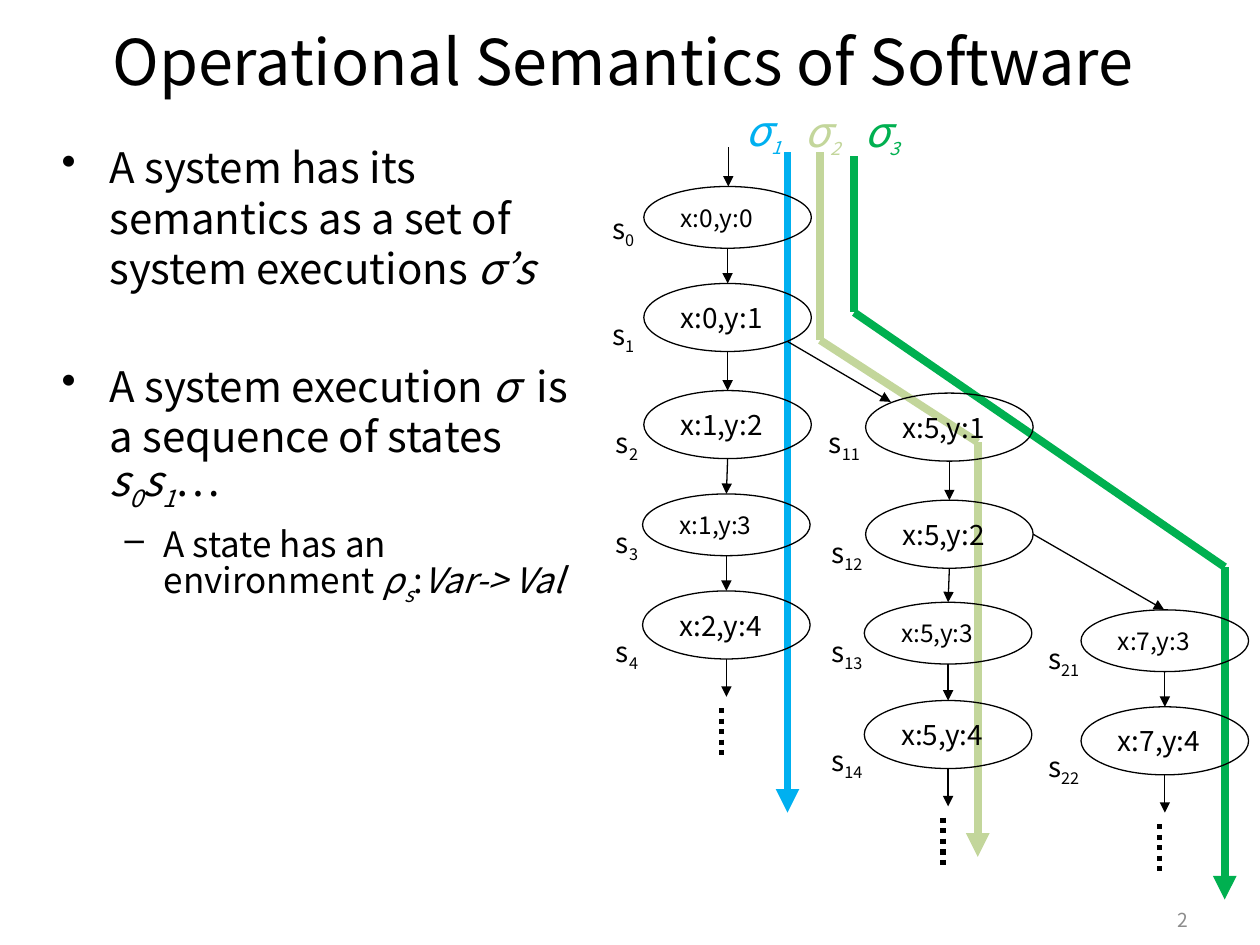
from dataclasses import dataclass
from lxml import etree
from pptx import Presentation
from pptx.dml.color import RGBColor
from pptx.enum.dml import MSO_LINE
from pptx.enum.shapes import MSO_CONNECTOR, MSO_SHAPE
from pptx.enum.text import MSO_ANCHOR, MSO_AUTO_SIZE, PP_ALIGN
from pptx.oxml.ns import qn
from pptx.util import Inches, Pt

STRAIGHT = MSO_CONNECTOR.STRAIGHT
OVAL = MSO_SHAPE.OVAL
MIDDLE = MSO_ANCHOR.MIDDLE
GROW = MSO_AUTO_SIZE.SHAPE_TO_FIT_TEXT
CENTER, RIGHT = PP_ALIGN.CENTER, PP_ALIGN.RIGHT
DOTS = MSO_LINE.ROUND_DOT


@dataclass(frozen=True)
class Theme:
    font: str = "Noto Sans CJK KR"
    ink: str = "000000"
    muted: str = "8C8C8C"
    blue: str = "00B0F0"
    olive: str = "C3D69B"
    green: str = "00B050"
    title: int = 36
    body: int = 24
    detail: int = 20
    index: int = 18
    state: int = 16
    small: int = 14
    number: int = 11
    thin: float = 0.75
    dots: float = 3
    thick: float = 4.5


theme = Theme()
deck = Presentation()
deck.slide_width, deck.slide_height = Inches(10), Inches(7.5)
page = deck.slides.add_slide(deck.slide_layouts[6])


def add_span(para, text, size, color=theme.ink, italic=False, lowered=False):
    span = para.add_run()
    span.text = text
    span.font.name = theme.font
    span.font.size = Pt(size)
    span.font.color.rgb = RGBColor.from_string(color)
    span.font.italic = italic
    if lowered:
        span.font._element.set("baseline", "-25000")


def add_line(start, end, color=theme.ink, width=theme.thin, arrow=True):
    ends = [Inches(value) for value in (*start, *end)]
    line = page.shapes.add_connector(STRAIGHT, *ends)
    line.line.color.rgb = RGBColor.from_string(color)
    line.line.width = Pt(width)
    if arrow:
        outline = line.line._get_or_add_ln()
        etree.SubElement(outline, qn("a:tailEnd"), type="triangle")
    etree.SubElement(line._element.spPr, qn("a:effectLst"))
    return line


executions = [
    ("3", theme.green, (6.76, 0.79), [(6.78, 1.24), (6.78, 2.48), (9.72, 4.5), (9.72, 7.14)]),
    ("2", theme.olive, (6.29, 0.79), [(6.51, 1.21), (6.51, 2.7), (7.76, 3.51), (7.76, 6.8)]),
    ("1", theme.blue, (5.82, 0.78), [(6.25, 1.21), (6.25, 6.45)]),
]
for index, color, (left, top), points in executions:
    for start, end in zip(points, points[1:]):
        add_line(start, end, color, theme.thick, end == points[-1])
    box = page.shapes.add_textbox(Inches(left), Inches(top), Inches(0.83), Inches(0.5))
    box.text_frame.word_wrap = True
    para = box.text_frame.paragraphs[0]
    add_span(para, "σ", theme.body, color, italic=True)
    add_span(para, index, theme.index, color, italic=True, lowered=True)

captions = [
    ("Operational Semantics of Software ", (0, 0.18, 10, 0.6), theme.title, theme.ink, CENTER),
    ("2", (8.7, 7.1, 0.83, 0.4), theme.number, theme.muted, RIGHT),
]
for text, place, size, color, align in captions:
    box = page.shapes.add_textbox(*[Inches(value) for value in place])
    box.text_frame.word_wrap = True
    box.text_frame.vertical_anchor = MIDDLE
    para = box.text_frame.paragraphs[0]
    para.alignment = align
    add_span(para, text, size, color)

points = [
    (0, "•", theme.body, 29, 4.8, 0.38, 0.38, [
        ("A system has its semantics as a set of system executions ", False, False),
        ("σ’s", True, False),
    ]),
    (0, "•", theme.body, 29, 38, 0.38, 0.38, [
        ("A system execution ", False, False),
        ("σ  ", True, False),
        ("is a sequence of states ", False, False),
        ("s", True, False), ("0", True, True),
        ("s", True, False), ("1", True, True),
        ("…", False, False),
    ]),
    (1, "–", theme.detail, 24, 6, 0.81, 0.31, [
        ("A state has an environment ", False, False),
        ("ρ", True, False), ("s", True, True),
        (":", False, False), ("Var-> Val", True, False),
    ]),
]
box = page.shapes.add_textbox(Inches(0.39), Inches(1.07), Inches(4.42), Inches(5.67))
frame = box.text_frame
frame.word_wrap = True
for number, (level, bullet, size, pitch, before, margin, hang, spans) in enumerate(points):
    para = frame.add_paragraph() if number else frame.paragraphs[0]
    para.level = level
    para.line_spacing = Pt(pitch)
    para.space_before = Pt(before)
    settings = para._p.get_or_add_pPr()
    settings.set("marL", str(Inches(margin)))
    settings.set("indent", str(-Inches(hang)))
    etree.SubElement(settings, qn("a:buChar"), char=bullet)
    for text, italic, lowered in spans:
        add_span(para, text, size, italic=italic, lowered=lowered)

STATE_WIDTH = 1.33
HEIGHTS = {theme.small: 0.49, theme.state: 0.54}
branches = [
    [
        ("0", "x:0,y:0", theme.small, 5.11, 1.48, 4.76, 1.63),
        ("1", "x:0,y:1", theme.state, 5.11, 2.25, 4.76, 2.47),
        ("2", "x:1,y:2", theme.state, 5.11, 3.1, 4.79, 3.33),
        ("3", "x:1,y:3", theme.small, 5.1, 3.92, 4.79, 4.12),
        ("4", "x:2,y:4", theme.state, 5.1, 4.69, 4.79, 4.99),
    ],
    [
        ("11", "x:5,y:1", theme.state, 6.87, 3.12, 6.48, 3.33),
        ("12", "x:5,y:2", theme.state, 6.87, 3.97, 6.5, 4.2),
        ("13", "x:5,y:3", theme.small, 6.86, 4.78, 6.5, 4.99),
        ("14", "x:5,y:4", theme.state, 6.86, 5.56, 6.5, 5.85),
    ],
    [
        ("21", "x:7,y:3", theme.small, 8.58, 4.84, 8.22, 5.04),
        ("22", "x:7,y:4", theme.state, 8.58, 5.61, 8.22, 5.9),
    ],
]
for branch in branches:
    previous = None
    for index, values, size, left, top, label_left, label_top in branch:
        height = HEIGHTS[size]
        state = page.shapes.add_shape(
            OVAL, Inches(left), Inches(top), Inches(STATE_WIDTH), Inches(height))
        state.shadow.inherit = False
        state.fill.background()
        state.line.color.rgb = RGBColor.from_string(theme.ink)
        state.line.width = Pt(theme.thin)
        state.text_frame.vertical_anchor = MIDDLE
        para = state.text_frame.paragraphs[0]
        para.alignment = PP_ALIGN.LEFT
        add_span(para, values, size)

        label = page.shapes.add_textbox(
            Inches(label_left), Inches(label_top),
            Inches(0.33 + 0.08 * len(index)), Inches(0.37))
        label.text_frame.word_wrap = False
        label.text_frame.auto_size = GROW
        para = label.text_frame.paragraphs[0]
        add_span(para, "s", theme.state)
        add_span(para, index, theme.state, lowered=True)

        middle = left + STATE_WIDTH / 2
        if previous:
            add_line(previous, (middle, top))
        previous = (middle, top + height)
    bottom = top + height
    add_line(previous, (middle, bottom + 0.3))
    dots = add_line((middle - 0.04, bottom + 0.39), (middle - 0.04, bottom + 0.79),
                    width=theme.dots, arrow=False)
    dots.line.dash_style = DOTS

for start, end in [
    ((5.78, 1.17), (5.78, 1.48)),
    ((6.25, 2.71), (7.07, 3.19)),
    ((8.2, 4.24), (9.24, 4.84)),
]:
    add_line(start, end)

deck.save("out.pptx")
